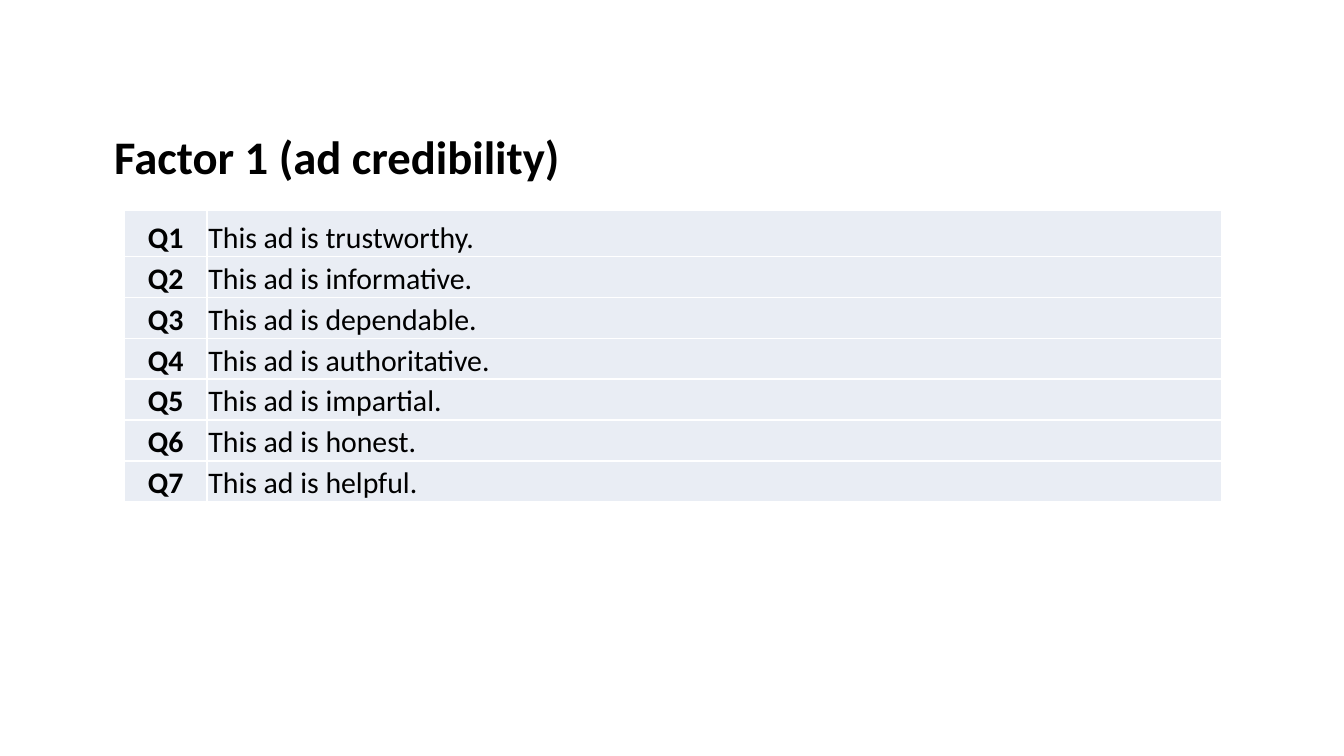
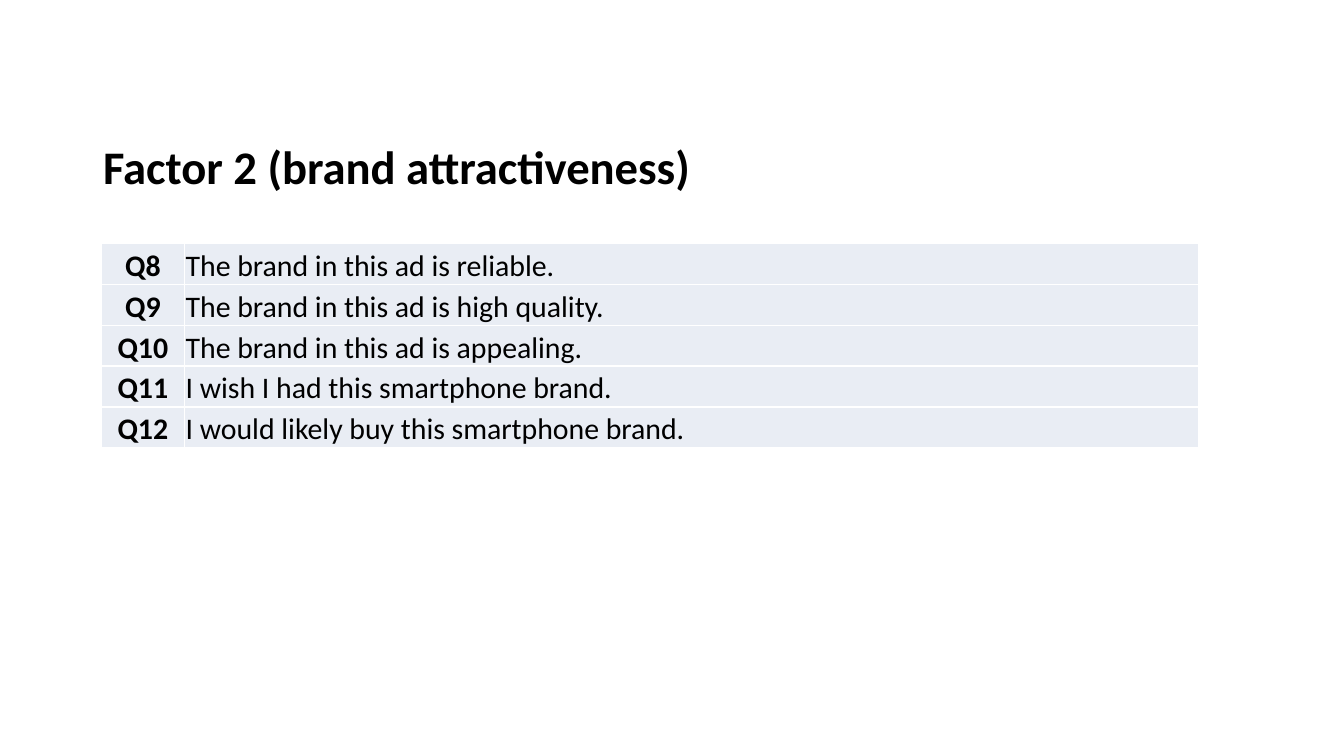
import dataclasses

import pptx
import pptx.dml.color
import pptx.enum.text
import pptx.oxml
import pptx.oxml.ns
import pptx.util

Pt = pptx.util.Pt
RGB = pptx.dml.color.RGBColor
ALIGN = pptx.enum.text.PP_ALIGN
ANCHOR = pptx.enum.text.MSO_ANCHOR
AUTO_SIZE = pptx.enum.text.MSO_AUTO_SIZE


@dataclasses.dataclass(frozen=True)
class Theme:
    font: str = "Calibri"
    text: str = "000000"
    cell: str = "E9EDF4"
    border: str = "FFFFFF"
    background: str = "FFFFFF"
    title_size: float = 25
    table_size: float = 16
    border_width: float = 1
    title_height: float = 37.5
    row_height: float = 21.9
    column_widths: tuple = (44.5, 543.5)


class Deck:
    TITLE_ONLY = 5

    def __init__(self, theme):
        self.theme = theme
        self.prs = pptx.Presentation()
        self.prs.slide_width = Pt(720)
        self.prs.slide_height = Pt(405)
        self.s = None

    def add_slide(self):
        self.s = self.prs.slides.add_slide(self.prs.slide_layouts[self.TITLE_ONLY])
        fill = self.s.background.fill
        fill.solid()
        fill.fore_color.rgb = RGB.from_string(self.theme.background)

    def style(self, p, size, bold, align):
        p.alignment = align
        for r in p.runs:
            r.font.name = self.theme.font
            r.font.size = Pt(size)
            r.font.bold = bold
            r.font.color.rgb = RGB.from_string(self.theme.text)

    def title(self, text, left, top, width):
        sp = self.s.shapes.title
        sp.left, sp.top = Pt(left), Pt(top)
        sp.width, sp.height = Pt(width), Pt(self.theme.title_height)
        tf = sp.text_frame
        tf.text = text
        tf.word_wrap = True
        tf.auto_size = AUTO_SIZE.SHAPE_TO_FIT_TEXT
        tf.vertical_anchor = ANCHOR.TOP
        self.style(tf.paragraphs[0], self.theme.title_size, True, ALIGN.LEFT)

    def borders(self, cell):
        tc_pr = cell._tc.get_or_add_tcPr()
        for side in ("lnL", "lnR", "lnT", "lnB"):
            tc_pr.append(pptx.oxml.parse_xml(
                f'<a:{side} {pptx.oxml.ns.nsdecls("a")} w="{Pt(self.theme.border_width)}">'
                f'<a:solidFill><a:srgbClr val="{self.theme.border}"/></a:solidFill></a:{side}>'))

    def cell(self, cell, text, bold, align):
        cell.margin_left = cell.margin_right = cell.margin_top = Pt(0.7)
        cell.margin_bottom = Pt(0)
        cell.vertical_anchor = ANCHOR.BOTTOM
        self.borders(cell)  # the schema wants borders ahead of the fill
        cell.fill.solid()
        cell.fill.fore_color.rgb = RGB.from_string(self.theme.cell)
        cell.text_frame.text = text
        self.style(cell.text_frame.paragraphs[0], self.theme.table_size, bold, align)

    def questions(self, statements, first_number, left, top, first_height=None):
        """Add a table of statements numbered Q<first_number> onwards."""
        heights = [self.theme.row_height] * len(statements)
        heights[0] = first_height or heights[0]
        widths = self.theme.column_widths
        table = self.s.shapes.add_table(
            len(statements), len(widths), Pt(left), Pt(top),
            Pt(sum(widths)), Pt(sum(heights))).table
        table.first_row = table.horz_banding = False
        for column, width in zip(table.columns, widths):
            column.width = Pt(width)
        for i, (statement, height) in enumerate(zip(statements, heights)):
            table.rows[i].height = Pt(height)
            self.cell(table.cell(i, 0), f"Q{first_number + i}", True, ALIGN.CENTER)
            self.cell(table.cell(i, 1), statement, False, ALIGN.LEFT)


def main():
    deck = Deck(Theme())

    deck.add_slide()
    deck.title("Factor 1 (ad credibility)", 54, 65, 270)
    qualities = ("trustworthy", "informative", "dependable", "authoritative",
                 "impartial", "honest", "helpful")
    deck.questions([f"This ad is {quality}." for quality in qualities],
                   1, 66.5, 112.5, first_height=25)

    deck.add_slide()
    deck.title("Factor 2 (brand attractiveness)", 48, 70.5, 384)
    deck.questions(["The brand in this ad is reliable.",
                    "The brand in this ad is high quality.",
                    "The brand in this ad is appealing.",
                    "I wish I had this smartphone brand.",
                    "I would likely buy this smartphone brand."],
                   8, 54.3, 130.5)

    deck.prs.save("out.pptx")


if __name__ == "__main__":
    main()
